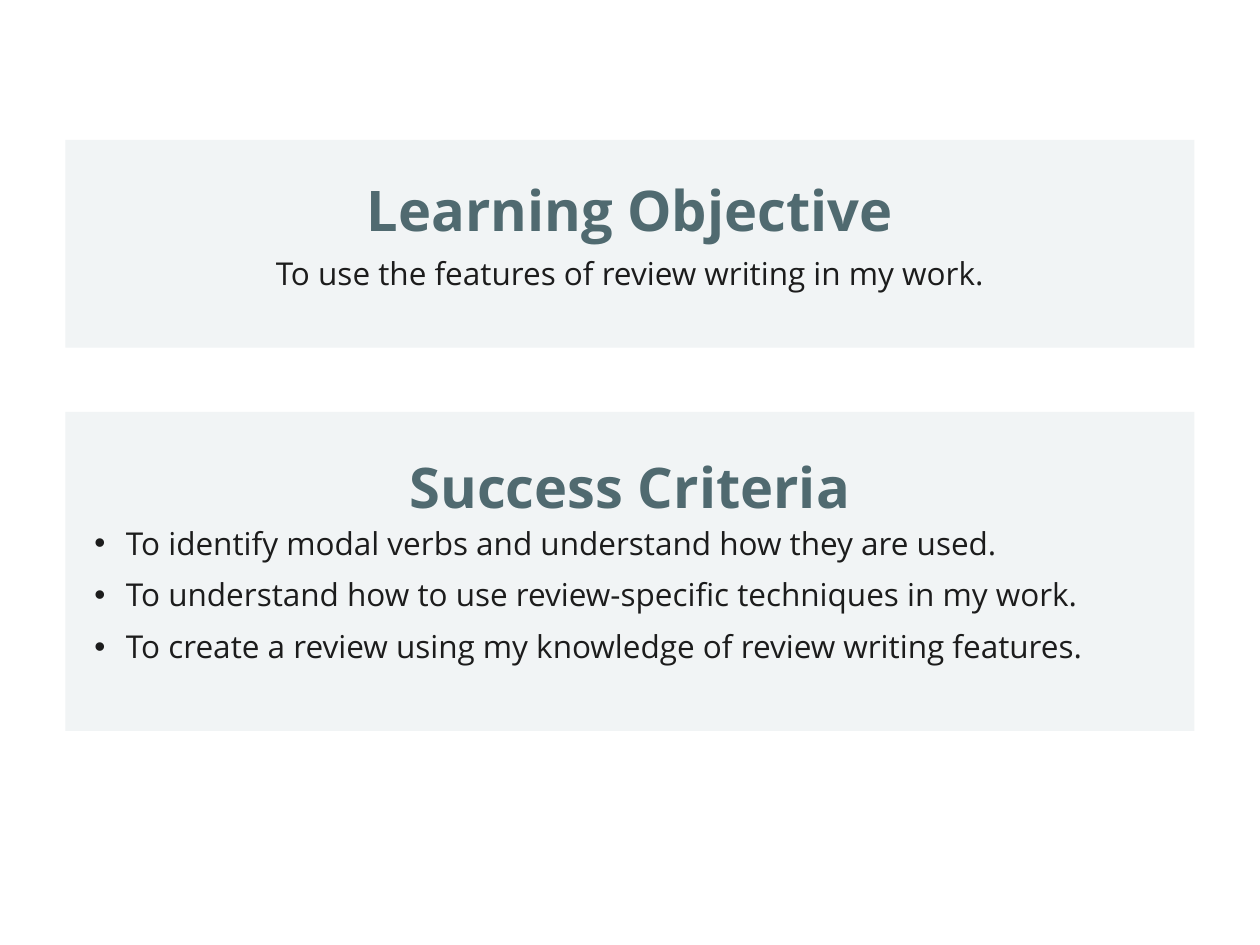
"""Build a slide with a learning objective and its success criteria."""
import pptx
import pptx.dml.color
import pptx.enum.shapes
import pptx.enum.text
import pptx.util
from lxml import etree
from pptx.oxml.ns import qn

Inches = pptx.util.Inches
Pt = pptx.util.Pt
RGBColor = pptx.dml.color.RGBColor
ALIGN = pptx.enum.text.PP_ALIGN

PANEL = RGBColor(0xF1, 0xF4, 0xF5)
HEADING = RGBColor(0x50, 0x6A, 0x70)
BODY = RGBColor(0x1C, 0x1C, 0x1C)

SLIDE_WIDTH, SLIDE_HEIGHT = 10, 7.5
PANEL_WIDTH, CRITERIA_WIDTH = 8.96, 8.5
HEADING_HEIGHT = 0.76
HEADING_INSETS = (0.28, 0.24, 0.28, 0.2)

SECTIONS = [
    {
        "heading": "Learning Objective",
        "lines": ["To use the features of review writing in my work."],
        "panel": (1.11, 1.65),
        "heading_top": 1.21,
        "body": (2.05, 0.27),
        "body_width": PANEL_WIDTH,
        "bullets": False,
    },
    {
        "heading": "Success Criteria",
        "lines": [
            "To identify modal verbs and understand how they are used.",
            "To understand how to use review-specific techniques in my work.",
            "To create a review using my knowledge of review writing features.",
        ],
        "panel": (3.27, 2.53),
        "heading_top": 3.41,
        "body": (4.19, 1.1),
        "body_width": CRITERIA_WIDTH,
        "bullets": True,
    },
]


def centred(top, width, height):
    return [Inches(v) for v in ((SLIDE_WIDTH - width) / 2, top, width, height)]


def add_panel(slide, top, height):
    panel = slide.shapes.add_shape(
        pptx.enum.shapes.MSO_SHAPE.ROUNDED_RECTANGLE,
        *centred(top, PANEL_WIDTH, height),
    )
    panel.adjustments[0] = 0
    panel.shadow.inherit = False
    panel.fill.solid()
    panel.fill.fore_color.rgb = PANEL
    colour = panel.fill._xPr.find(".//" + qn("a:srgbClr"))
    etree.SubElement(colour, qn("a:alpha"), val="95000")
    panel.line.fill.background()


def add_bullet(paragraph):
    properties = paragraph._p.get_or_add_pPr()
    properties.set("marL", str(Inches(0.25)))
    properties.set("indent", str(-Inches(0.25)))
    etree.SubElement(properties, qn("a:buFont"), typeface="Arial")
    etree.SubElement(properties, qn("a:buChar"), char="•")


def add_text(slide, lines, *, top, width, height, size=18, colour=BODY,
             bold=False, bullets=False, insets=(0, 0, 0, 0)):
    frame = slide.shapes.add_textbox(*centred(top, width, height)).text_frame
    frame.word_wrap = True
    frame.vertical_anchor = pptx.enum.text.MSO_ANCHOR.TOP
    (frame.margin_left, frame.margin_top,
     frame.margin_right, frame.margin_bottom) = map(Inches, insets)
    for index, line in enumerate(lines):
        paragraph = frame.add_paragraph() if index else frame.paragraphs[0]
        paragraph.text = line
        paragraph.alignment = ALIGN.LEFT if bullets else ALIGN.CENTER
        paragraph.line_spacing = 0.9
        paragraph.space_before = Pt(10 if index else 0)
        if bullets:
            add_bullet(paragraph)
        font = paragraph.runs[0].font
        font.name = "Open Sans"
        font.size = Pt(size)
        font.bold = bold
        font.color.rgb = colour


def main():
    presentation = pptx.Presentation()
    presentation.slide_width = Inches(SLIDE_WIDTH)
    presentation.slide_height = Inches(SLIDE_HEIGHT)
    slide = presentation.slides.add_slide(presentation.slide_layouts[6])
    for section in SECTIONS:
        add_panel(slide, *section["panel"])
    for section in SECTIONS:
        body_top, body_height = section["body"]
        add_text(slide, section["lines"], top=body_top, height=body_height,
                 width=section["body_width"], bullets=section["bullets"])
        add_text(slide, [section["heading"]], top=section["heading_top"],
                 width=PANEL_WIDTH, height=HEADING_HEIGHT, size=32,
                 colour=HEADING, bold=True, insets=HEADING_INSETS)
    presentation.save("out.pptx")


if __name__ == "__main__":
    main()
